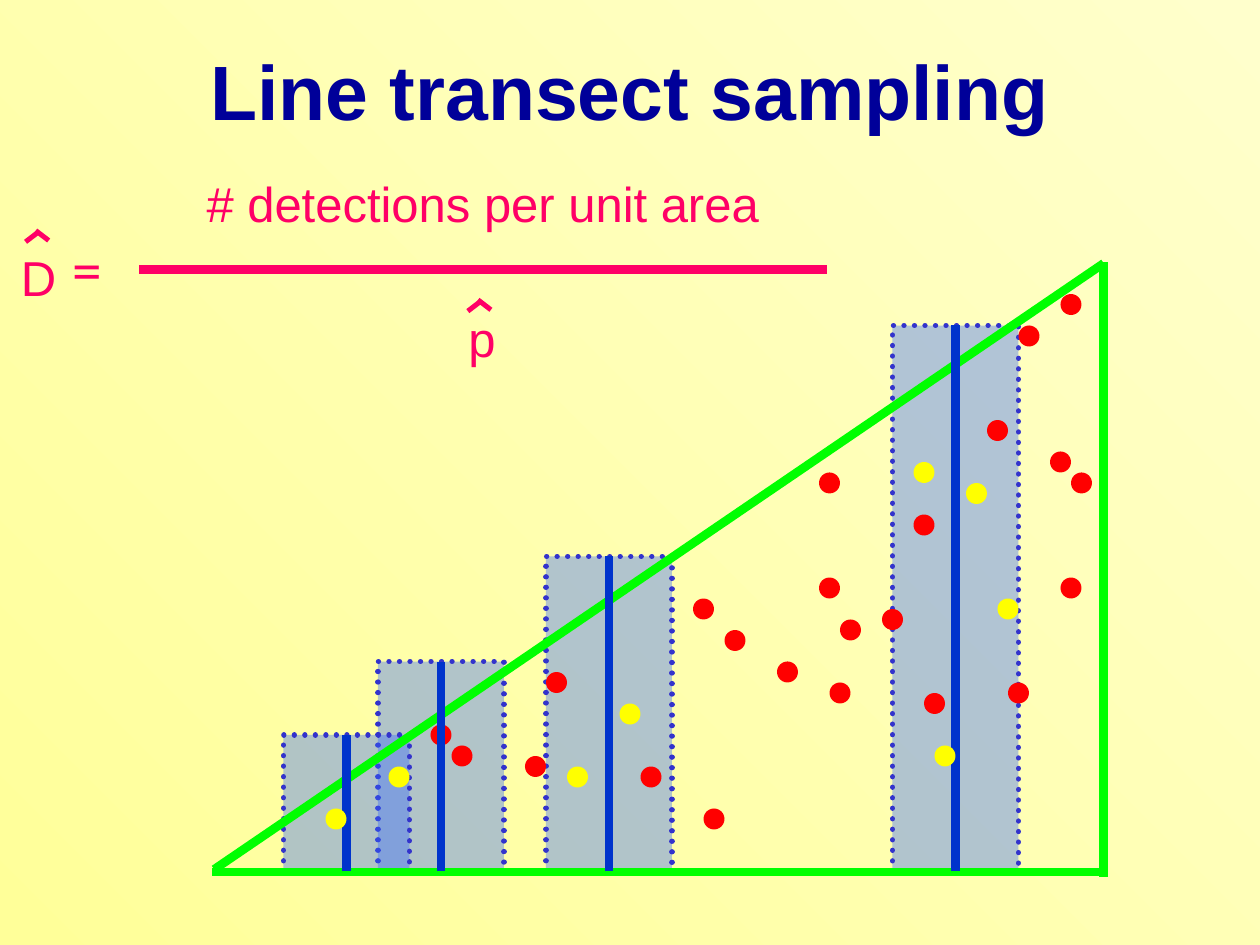
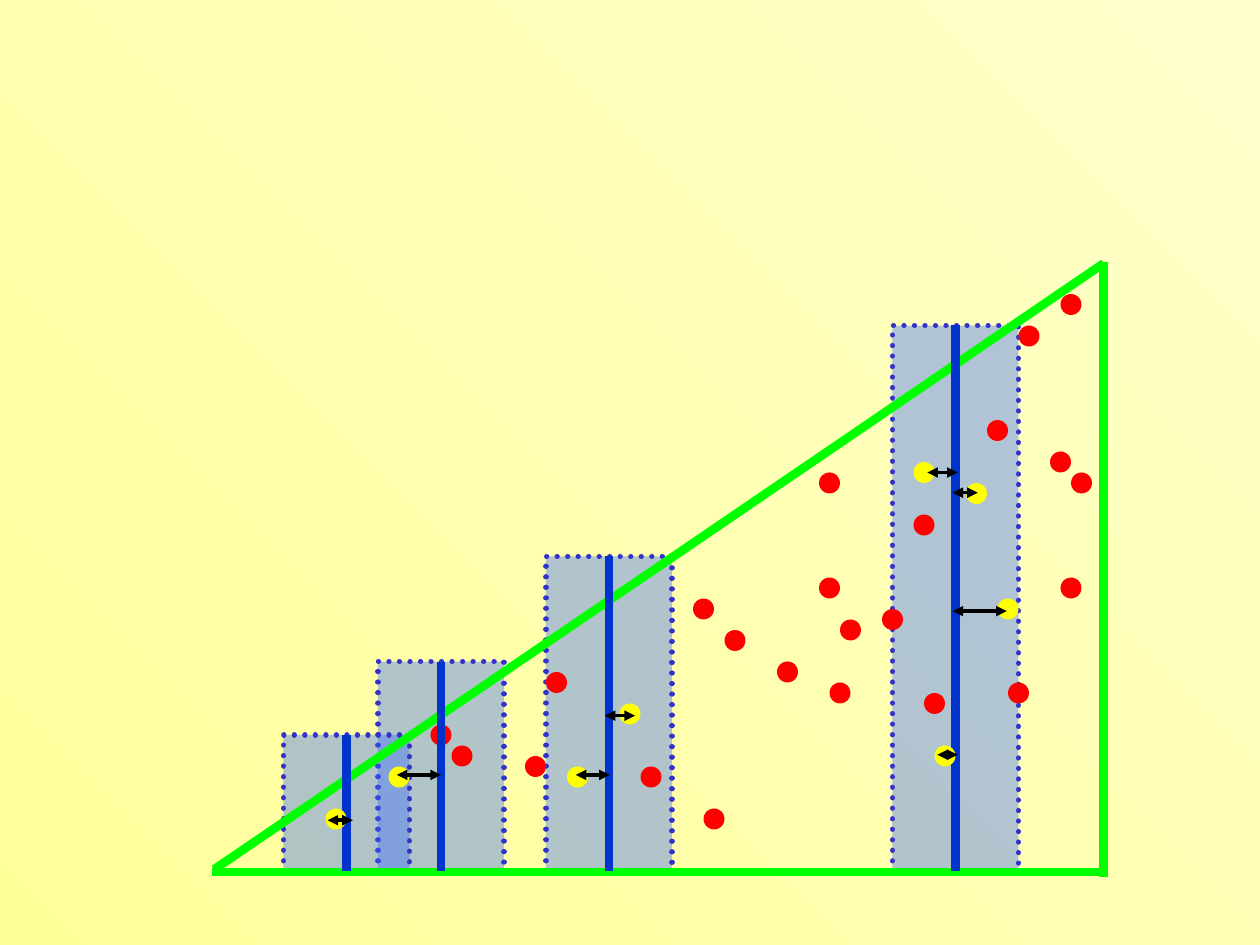
import dataclasses

import pptx
import pptx.dml.color
import pptx.enum.dml
import pptx.enum.shapes
import pptx.enum.text
import pptx.oxml.ns
import pptx.oxml.xmlchemy
import pptx.util
from lxml import etree

Inches = pptx.util.Inches
Pt = pptx.util.Pt
SHAPE = pptx.enum.shapes.MSO_SHAPE
ANCHOR = pptx.enum.text.MSO_ANCHOR
qn = pptx.oxml.ns.qn


@dataclasses.dataclass(frozen=True)
class Theme:
    """Colours, fonts and sizes shared by the slides."""
    bg_light: str = "FFFFCC"
    bg_deep: str = "FFFF99"
    title: str = "000099"
    formula: str = "FF0066"
    strip: str = "3366FF"
    strip_edge: str = "3333CC"
    transect: str = "0033CC"
    boundary: str = "00FF00"
    missed: str = "FF0000"
    detected: str = "FFFF00"
    distance: str = "000000"
    font: str = "Arial"
    symbol_font: str = "Lato"
    title_size: int = 44
    formula_size: int = 28
    equals_size: int = 32
    heavy: int = 5
    edge: int = 3
    thin: int = 2
    strip_alpha: int = 38


THEME = Theme()
GRID = 1 / 12
DOT = 2 * GRID
STRIP_WIDTH = 12
BASELINE = 59
AREA_BOX = (1.75, 2)
FORMULA_BOX = (0, 1.26)

STRIPS = [(15, 20), (6, 13), (31, 30), (64, 52)]
BOUNDARY = [(7.01, 4.92, -0.07, 4.92), (7.01, 4.96, 7.01, 0.08), (7.01, 0.09, -0.05, 4.9)]
MISSED = [
    (20, 45), (22, 47), (29, 48), (31, 40), (40, 49), (66, 25), (73, 16), (79, 19),
    (81, 21), (76, 7), (80, 4), (67, 42), (75, 41), (80, 31), (45, 33), (58, 41),
    (57, 31), (63, 34), (48, 36), (53, 39), (59, 35), (46, 53), (57, 21),
]
DETECTED = [(38, 43), (33, 49), (16, 49), (66, 20), (74, 33), (71, 22), (68, 47), (10, 53)]
DISTANCES = [
    (1.4, 1.75, 4.15), (2.82, 3.09, 4.15), (3.05, 3.29, 3.68), (0.85, 1.05, 4.51),
    (5.61, 5.85, 1.75), (5.81, 6.24, 2.85), (5.69, 5.85, 3.99), (5.81, 6.01, 1.91),
]


def rgb(value):
    """Turn a hex string into a colour."""
    return pptx.dml.color.RGBColor.from_string(value)


def put_text(tf, text, size, color, font=THEME.font, bold=False, wrap=True,
             anchor=ANCHOR.TOP, margins=(0.1, 0.05, 0.1, 0.05)):
    """Write one centred, formatted line into a text frame."""
    tf.auto_size = pptx.enum.text.MSO_AUTO_SIZE.NONE
    tf.word_wrap = wrap
    tf.vertical_anchor = anchor
    tf.margin_left, tf.margin_top, tf.margin_right, tf.margin_bottom = map(Inches, margins)
    p = tf.paragraphs[0]
    p.alignment = pptx.enum.text.PP_ALIGN.CENTER
    r = p.add_run()
    r.text = text
    r.font.name = font
    r.font.size = Pt(size)
    r.font.bold = bold
    r.font.color.rgb = rgb(color)


def add_label(slide, x, y, w, h, text, **fmt):
    """Add a text box holding one formatted line."""
    tb = slide.shapes.add_textbox(Inches(x), Inches(y), Inches(w), Inches(h))
    put_text(tb.text_frame, text, **fmt)


def add_solid(slide, kind, x, y, w, h, color):
    """Add a filled preset shape with neither outline nor shadow."""
    sp = slide.shapes.add_shape(kind, Inches(x), Inches(y), Inches(w), Inches(h))
    sp.shadow.inherit = False
    sp.fill.solid()
    sp.fill.fore_color.rgb = rgb(color)
    sp.line.fill.background()
    return sp


def add_line(slide, x1, y1, x2, y2, color, width, arrows=False):
    """Add a straight line, optionally with an arrowhead at each end."""
    cn = slide.shapes.add_connector(pptx.enum.shapes.MSO_CONNECTOR.STRAIGHT,
                                    Inches(x1), Inches(y1), Inches(x2), Inches(y2))
    cn.line.color.rgb = rgb(color)
    cn.line.width = Pt(width)
    spPr = cn.element.spPr
    if arrows:
        for end in ("a:headEnd", "a:tailEnd"):
            etree.SubElement(spPr.find(qn("a:ln")), qn(end), type="triangle")
    etree.SubElement(spPr, qn("a:effectLst"))


def add_strip(slide, x, y, w, h):
    """Add a translucent survey strip with a dotted edge."""
    sp = add_solid(slide, SHAPE.RECTANGLE, x, y, w, h, THEME.strip)
    color = sp.element.spPr.find(qn("a:solidFill"))[0]
    etree.SubElement(color, qn("a:alpha"), val=str(THEME.strip_alpha * 1000))
    sp.line.color.rgb = rgb(THEME.strip_edge)
    sp.line.width = Pt(THEME.edge)
    sp.line.dash_style = pptx.enum.dml.MSO_LINE.ROUND_DOT
    sp.element.spPr.find(qn("a:ln")).set("cap", "rnd")


def add_hat(slide, x, y):
    """Add the circumflex of an estimator from two tilted bars."""
    for dx, dy, angle in ((0, 0.01, -37.4), (0.08, 0, 37.4)):
        bar = add_solid(slide, SHAPE.RECTANGLE, x + dx, y + dy, 0.13, 0.04, THEME.formula)
        bar.rotation = angle


def add_formula(slide, box):
    """Write the density estimator as a fraction."""
    x, y = box
    fmt = dict(size=THEME.formula_size, color=THEME.formula)
    margins = (0, 0.12, 0, 0.05)
    add_label(slide, x, y + 0.58, 0.61, 0.78, "D", margins=margins, **fmt)
    add_label(slide, x + 0.77, y, 6.12, 0.88, "# detections per unit area", margins=margins, **fmt)
    add_line(slide, x + 6.56, y + 0.88, x + 1.1, y + 0.88, THEME.formula, THEME.heavy)
    add_label(slide, x + 0.44, y + 0.29, 0.5, 1.17, "=", size=THEME.equals_size,
              color=THEME.formula, font=THEME.symbol_font, wrap=False, anchor=ANCHOR.MIDDLE)
    add_label(slide, x + 2.92, y + 1.07, 1.16, 0.68, "p", margins=(0.65, 0.12, 0, 0.05), **fmt)
    add_hat(slide, x + 0.19, y + 0.59)
    add_hat(slide, x + 3.7, y + 1.14)


def add_dots(slide, box, cells, color):
    """Place round dots on the grid of the study area."""
    x, y = box
    for col, row in cells:
        add_solid(slide, SHAPE.OVAL, x + col * GRID, y + row * GRID, DOT, DOT, color)


def add_study_area(slide, box):
    """Draw the triangular study area with its strips, transects and animals."""
    x, y = box
    base = y + BASELINE * GRID
    for col, height in STRIPS:
        add_strip(slide, x + col * GRID, base - height * GRID, STRIP_WIDTH * GRID, height * GRID)
    for x1, y1, x2, y2 in BOUNDARY:
        add_line(slide, x + x1, y + y1, x + x2, y + y2, THEME.boundary, THEME.heavy)
    add_dots(slide, box, MISSED, THEME.missed)
    for col, height in STRIPS:
        mid = x + (col + STRIP_WIDTH / 2) * GRID
        add_line(slide, mid, base, mid, base - height * GRID, THEME.transect, THEME.heavy)
    add_dots(slide, box, DETECTED, THEME.detected)


def add_distances(slide, box):
    """Mark the distance from each detected animal to its transect."""
    x, y = box
    for x1, x2, row in DISTANCES:
        add_line(slide, x + x1, y + row, x + x2, y + row, THEME.distance, THEME.thin, arrows=True)


def set_background(master):
    """Give every slide the diagonal gradient."""
    fill = master.background.fill
    fill.gradient()
    fill.gradient_angle = 225
    for stop, color, position in zip(fill.gradient_stops, (THEME.bg_light, THEME.bg_deep), (0, 1)):
        stop.color.rgb = rgb(color)
        stop.position = position


def build_estimator_slide(prs):
    """Build the titled slide with the formula and the study area."""
    s = prs.slides.add_slide(prs.slide_layouts[5])
    title = s.shapes.title
    title.left, title.top, title.width, title.height = map(Inches, (0, 0.09, 10, 1.25))
    put_text(title.text_frame, "Line transect sampling", size=THEME.title_size,
             color=THEME.title, bold=True, anchor=ANCHOR.MIDDLE)
    add_formula(s, FORMULA_BOX)
    add_study_area(s, AREA_BOX)


def build_distance_slide(prs):
    """Build the slide with the study area and the measured distances."""
    s = prs.slides.add_slide(prs.slide_layouts[6])
    add_study_area(s, AREA_BOX)
    add_distances(s, AREA_BOX)


def main():
    """Build and save the presentation."""
    prs = pptx.Presentation()
    prs.slide_width, prs.slide_height = Inches(10), Inches(7.5)
    set_background(prs.slide_master)
    build_estimator_slide(prs)
    build_distance_slide(prs)
    prs.save("out.pptx")


if __name__ == "__main__":
    main()
